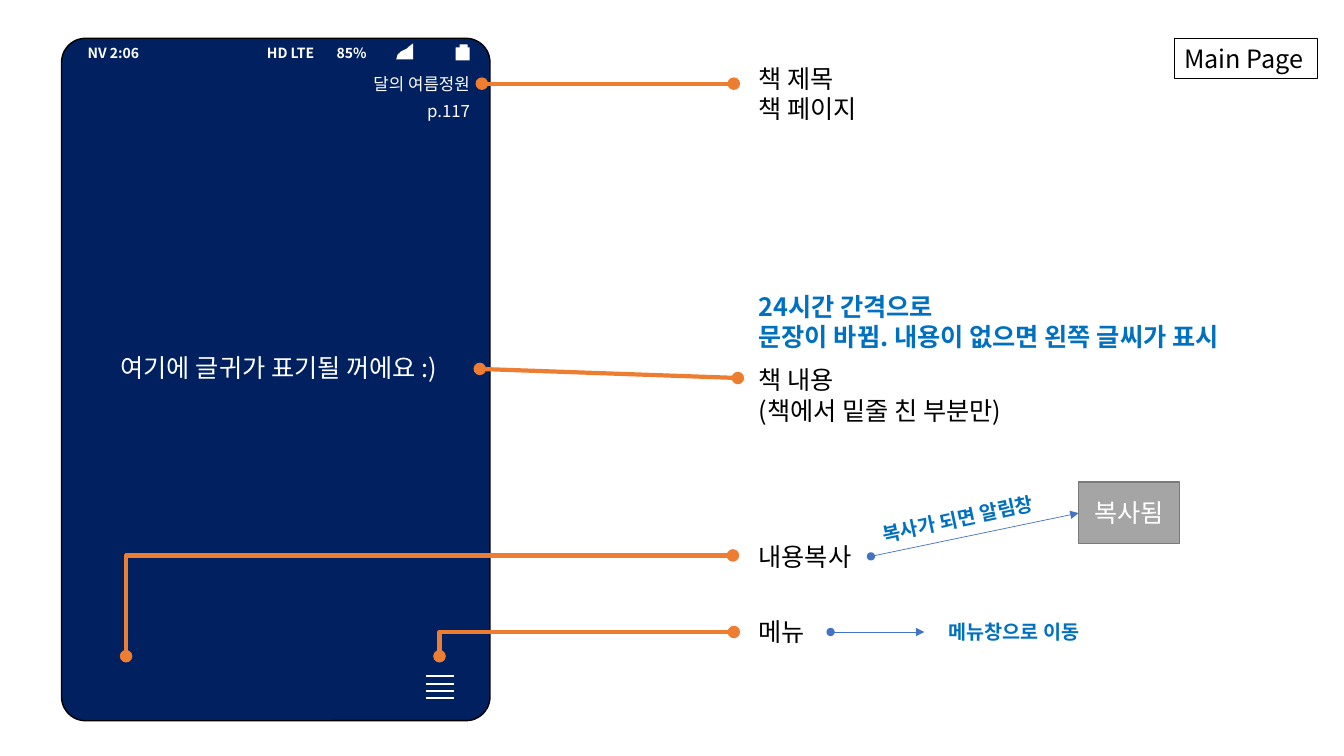
"""Builds the annotated wireframe of a reading app's main page."""
from lxml import etree
from pptx import Presentation
from pptx.dml.color import RGBColor
from pptx.enum.shapes import MSO_CONNECTOR, MSO_SHAPE
from pptx.enum.text import MSO_ANCHOR, MSO_AUTO_SIZE, PP_ALIGN
from pptx.oxml.ns import qn
from pptx.util import Inches, Pt

SLIDE_W, SLIDE_H = Inches(13.33), Inches(7.5)
COLUMNS = ROWS = 100
FONT = "Noto Sans CJK KR"
COLORS = {
    "screen": "002060", "black": "000000", "white": "FFFFFF",
    "callout": "ED7D31", "flow": "4472C4", "emphasis": "0070C0",
    "popup": "A5A5A5", "popup_edge": "7A7A7A",
}
LEFT, CENTER, RIGHT = PP_ALIGN.LEFT, PP_ALIGN.CENTER, PP_ALIGN.RIGHT
MIDDLE = MSO_ANCHOR.MIDDLE
FIT_TEXT = MSO_AUTO_SIZE.SHAPE_TO_FIT_TEXT
STRAIGHT = MSO_CONNECTOR.STRAIGHT
RECT, ROUNDED = MSO_SHAPE.RECTANGLE, MSO_SHAPE.ROUNDED_RECTANGLE
SCREEN_LEFT, SCREEN_WIDTH = 5.78, 29.93
NOTE_LEFT = 55.7


def col(number):
    """Return the horizontal length of a number of grid columns."""
    return round(SLIDE_W * number / COLUMNS)


def row(number):
    """Return the vertical length of a number of grid rows."""
    return round(SLIDE_H * number / ROWS)


def place(box):
    """Convert a left, top, width, height box from grid units."""
    left, top, width, height = box
    return col(left), row(top), col(width), row(height)


def rgb(name):
    """Look up a named colour."""
    return RGBColor.from_string(COLORS[name])


def paint(shape, fill, edge, weight=1):
    """Set fill and outline, and drop the shadow."""
    shape.shadow.inherit = False
    if fill:
        shape.fill.solid()
        shape.fill.fore_color.rgb = rgb(fill)
    else:
        shape.fill.background()
    if edge:
        shape.line.color.rgb = rgb(edge)
        shape.line.width = Pt(weight)
    else:
        shape.line.fill.background()


def write(frame, lines, color="black", size=18, bold=False, align=LEFT):
    """Write one paragraph for each line of text."""
    for index, line in enumerate(lines):
        paragraph = frame.add_paragraph() if index else frame.paragraphs[0]
        paragraph.alignment = align
        run = paragraph.add_run()
        run.text = line
        run.font.size, run.font.bold = Pt(size), bold
        run.font.name = FONT
        run.font.color.rgb = rgb(color)
        east_asian = etree.SubElement(run.font._element, qn("a:ea"))
        east_asian.set("typeface", FONT)


def add_label(slide, box, lines, wrap=False, **style):
    """Add a text box and return it."""
    label = slide.shapes.add_textbox(*place(box))
    label.text_frame.word_wrap = wrap
    label.text_frame.auto_size = FIT_TEXT
    write(label.text_frame, lines, **style)
    return label


def add_block(slide, kind, box, fill, edge=None, weight=1):
    """Add a painted preset shape and return it."""
    block = slide.shapes.add_shape(kind, *place(box))
    paint(block, fill, edge, weight)
    return block


def add_ends(line, head, tail):
    """Put markers on the two ends of a line."""
    properties = line.line._get_or_add_ln()
    for tag, marker in (("a:headEnd", head), ("a:tailEnd", tail)):
        etree.SubElement(properties, qn(tag)).set("type", marker)


def add_line(slide, start, end, color, weight, tail=None):
    """Add a straight line, starting with a dot if it has a tail marker."""
    line = slide.shapes.add_connector(
        STRAIGHT, col(start[0]), row(start[1]), col(end[0]), row(end[1]))
    line.line.color.rgb = rgb(color)
    line.line.width = Pt(weight)
    if tail:
        add_ends(line, "oval", tail)
    etree.SubElement(line._element.spPr, qn("a:effectLst"))


def add_outline(slide, points, closed):
    """Add a freeform through grid points and return it."""
    corners = [(col(x), row(y)) for x, y in points]
    builder = slide.shapes.build_freeform(*corners[0])
    builder.add_line_segments(corners[1:], close=closed)
    return builder.convert_to_shape()


def add_elbow(slide, foot, corner_row, end_col):
    """Add a callout that rises from a foot and then runs right."""
    points = [foot, (foot[0], corner_row), (end_col, corner_row)]
    elbow = add_outline(slide, points, closed=False)
    paint(elbow, None, "callout", 3)
    add_ends(elbow, "oval", "oval")


def add_status_bar(slide):
    """Add the phone's status text, signal and battery."""
    status = add_label(slide, (SCREEN_LEFT, 5.2, SCREEN_WIDTH, 3.6),
                       ["NV 2:06\tHD LTE\t85%"], wrap=True,
                       color="white", size=10, bold=True)
    properties = status.text_frame.paragraphs[0]._p.get_or_add_pPr()
    stops = etree.SubElement(properties, qn("a:tabLst"))
    for stop in (13.35, 18.53):
        etree.SubElement(stops, qn("a:tab"), pos=str(col(stop)), algn="l")
    signal = add_outline(slide, [
        (29.48, 7.87), (30.75, 7.87), (30.75, 5.73), (30.45, 6.13),
        (30.3, 6.4), (29.85, 6.8), (29.6, 7.2)], closed=True)
    paint(signal, "white", None)
    for battery_part in ((33.9, 6.27, 1.05, 1.73), (34.2, 5.87, 0.6, 1.6)):
        add_block(slide, RECT, battery_part, "white")


def add_phone(slide):
    """Add the phone screen and what it shows."""
    phone = add_block(slide, ROUNDED, (4.58, 5.07, 31.88, 90.27),
                      "screen", "black")
    phone.adjustments[0] = 0.056
    for top, height, text, size, align in (
            (46, 5.33, "여기에 글귀가 표기될 꺼에요 :)", 18, CENTER),
            (9.07, 4, "달의 여름정원", 12, RIGHT),
            (12.67, 4, "p.117", 12, RIGHT)):
        add_label(slide, (SCREEN_LEFT, top, SCREEN_WIDTH, height), [text],
                  wrap=True, color="white", size=size, align=align)
    for bar in range(4):
        bar_row = 89.47 + 0.95 * bar
        add_line(slide, (31.73, bar_row), (33.75, bar_row), "white", 1.5)
    add_status_bar(slide)


def add_notes_column(slide):
    """Add the explanations and the callouts that lead to them."""
    for top, width, height, lines in (
            (7.73, 9.75, 9.47, ["책 제목", "책 페이지"]),
            (47.6, 21.75, 9.47, ["책 내용", "(책에서 밑줄 친 부분만)"]),
            (70.93, 9.08, 5.33, ["내용복사"]),
            (80.93, 5.33, 5.33, ["메뉴"])):
        add_label(slide, (NOTE_LEFT, top, width, height), lines)
    add_label(slide, (NOTE_LEFT, 37.87, 40.13, 9.47),
              ["24시간 간격으로", "문장이 바뀜. 내용이 없으면 왼쪽 글씨가 표시"],
              color="emphasis", bold=True)
    add_line(slide, (35.85, 11.07), (54.6, 11.07), "callout", 3, "oval")
    add_line(slide, (35.7, 48.8), (54.9, 50), "callout", 3, "oval")
    add_elbow(slide, (9.38, 86.8), 73.47, 54.53)
    add_elbow(slide, (32.7, 86.8), 83.6, 54.6)


def add_flows(slide):
    """Add the arrows that show what copying and the menu lead to."""
    popup = add_block(slide, RECT, (80.25, 63.73, 7.5, 8.13),
                      "popup", "popup_edge")
    popup.text_frame.vertical_anchor = MIDDLE
    write(popup.text_frame, ["복사됨"], color="white", align=CENTER)
    add_line(slide, (64.8, 73.6), (80.25, 67.87), "flow", 0.5, "triangle")
    add_line(slide, (61.8, 83.6), (68.78, 83.6), "flow", 0.5, "triangle")
    flow_style = {"color": "emphasis", "size": 14, "bold": True}
    copied = add_label(slide, (64.8, 66.13, 14.33, 4.53),
                       ["복사가 되면 알림창"], **flow_style)
    copied.rotation = -12
    add_label(slide, (69.83, 81.33, 12.3, 4.53),
              ["메뉴창으로 이동"], **flow_style)


def main():
    """Build and save the slide."""
    deck = Presentation()
    deck.slide_width, deck.slide_height = SLIDE_W, SLIDE_H
    slide = deck.slides.add_slide(deck.slide_layouts[6])
    add_phone(slide)
    add_notes_column(slide)
    add_flows(slide)
    title = add_block(slide, RECT, (87.38, 5.07, 10.65, 5.33),
                      None, "black", 0.75)
    title.text_frame.word_wrap = False
    write(title.text_frame, ["Main Page"])
    deck.save("out.pptx")


if __name__ == "__main__":
    main()
